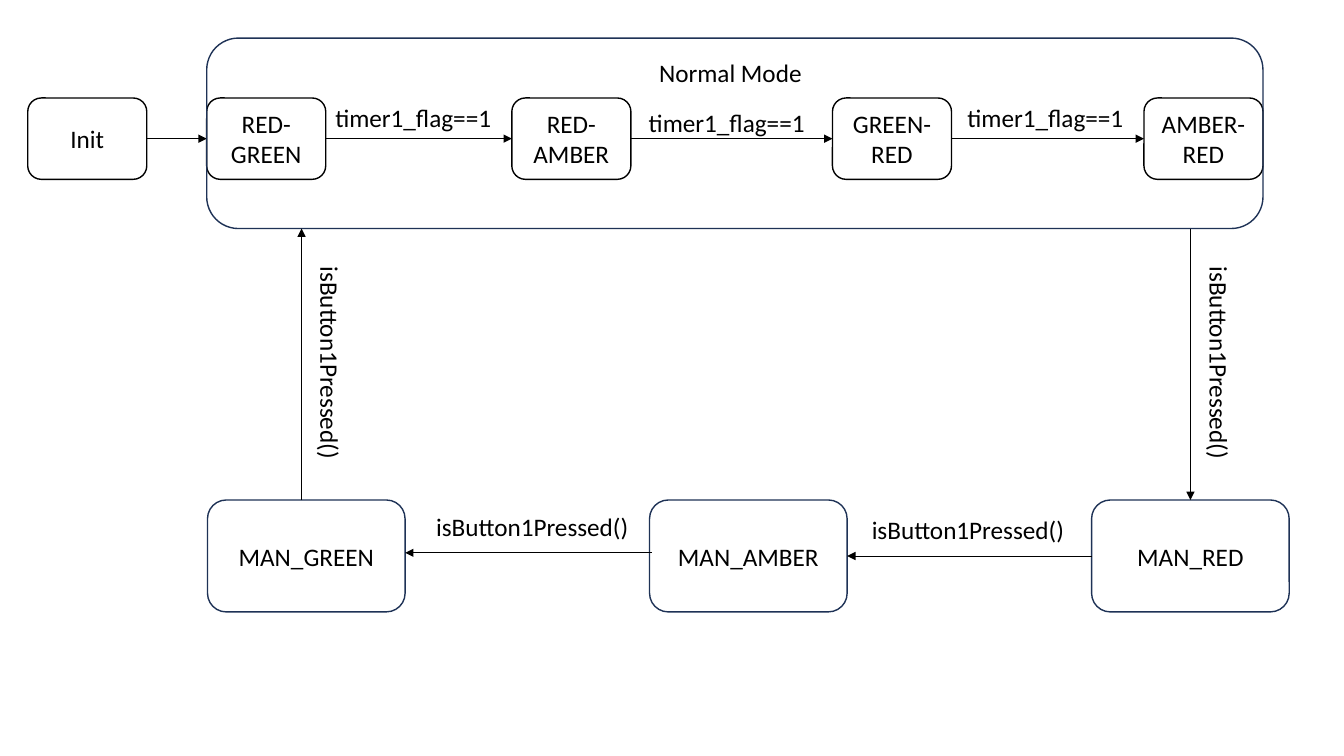
from dataclasses import dataclass

from lxml import etree
from pptx import Presentation
from pptx import util as u
from pptx.dml import color
from pptx.enum import shapes, text
from pptx.oxml import ns


@dataclass(frozen=True)
class Theme:
    font: str = "Calibri"
    text_size: float = 18
    box_line: float = 1
    arrow_line: float = 0.5
    ink: str = "000000"
    paper: str = "FFFFFF"
    navy: str = "1E3256"


TOP, LEFT, BOTTOM, RIGHT = range(4)  # connection sites of a box


class Diagram:
    """Holds the theme and the current slide."""

    def __init__(self, slide, theme):
        self.slide = slide
        self.theme = theme

    def set_text(self, shape, wording, alignment, anchor):
        frame = shape.text_frame
        for name, value in {"word_wrap": True, "vertical_anchor": anchor}.items():
            setattr(frame, name, value)
        paragraph = frame.paragraphs[0]
        paragraph.alignment = alignment
        run = paragraph.add_run()
        run.text = wording
        font_format = {"name": self.theme.font, "size": u.Pt(self.theme.text_size)}
        for name, value in font_format.items():
            setattr(run.font, name, value)
        run.font.color.rgb = color.RGBColor.from_string(self.theme.ink)

    def box(self, left, top, width, height, line, wording="", fill=None):
        shape = self.slide.shapes.add_shape(
            shapes.MSO_SHAPE.ROUNDED_RECTANGLE,
            u.Cm(left), u.Cm(top), u.Cm(width), u.Cm(height))
        shape.shadow.inherit = False
        if fill:
            shape.fill.solid()
            shape.fill.fore_color.rgb = color.RGBColor.from_string(fill)
        else:
            shape.fill.background()
        shape.line.color.rgb = color.RGBColor.from_string(line)
        shape.line.width = u.Pt(self.theme.box_line)
        if wording:
            self.set_text(shape, wording, text.PP_ALIGN.CENTER, text.MSO_ANCHOR.MIDDLE)
        return shape

    def label(self, left, top, width, wording, rotation=0):
        shape = self.slide.shapes.add_textbox(
            u.Cm(left), u.Cm(top), u.Cm(width), u.Cm(1.03))
        shape.rotation = rotation
        self.set_text(shape, wording, text.PP_ALIGN.LEFT, text.MSO_ANCHOR.TOP)
        shape.text_frame.auto_size = text.MSO_AUTO_SIZE.SHAPE_TO_FIT_TEXT

    def arrow(self, start_x=0, start_y=0, end_x=0, end_y=0):
        connector = self.slide.shapes.add_connector(
            shapes.MSO_CONNECTOR.STRAIGHT,
            u.Cm(start_x), u.Cm(start_y), u.Cm(end_x), u.Cm(end_y))
        connector.line.color.rgb = color.RGBColor.from_string(self.theme.ink)
        connector.line.width = u.Pt(self.theme.arrow_line)
        properties = connector.element.spPr
        line = properties.find(ns.qn("a:ln"))
        etree.SubElement(line, ns.qn("a:tailEnd"), type="triangle")
        etree.SubElement(properties, ns.qn("a:effectLst"))
        return connector

    def link(self, source, source_site, target, target_site):
        connector = self.arrow()
        connector.begin_connect(source, source_site)
        connector.end_connect(target, target_site)


presentation = Presentation()
presentation.slide_width = u.Cm(33.87)
presentation.slide_height = u.Cm(19.05)
theme = Theme()
diagram = Diagram(presentation.slides.add_slide(presentation.slide_layouts[6]), theme)

# Automatic states, linked from left to right
automatic = [
    diagram.box(left, 2.47, 3, 2.05, theme.ink, wording, theme.paper)
    for left, wording in [(0.7, "Init"), (5.21, "RED-GREEN"), (12.9, "RED-AMBER"),
                          (20.98, "GREEN-RED"), (28.83, "AMBER-RED")]]
for source, target in zip(automatic, automatic[1:]):
    diagram.link(source, RIGHT, target, LEFT)
for left, top in [(8.2, 2.46), (16.1, 2.58), (24.13, 2.46)]:
    diagram.label(left, top, 4.7, "timer1_flag==1")

# Normal mode frame
frame_top, frame_height = 0.96, 4.8
frame_bottom = frame_top + frame_height
diagram.label(16.36, 1.31, 7.8, "Normal Mode")
diagram.box(5.21, frame_top, 26.62, frame_height, theme.navy)

# Manual states, evenly spaced
manual_left, manual_top, manual_pitch = 5.23, 12.6, 11.14
green, amber, red = [
    diagram.box(manual_left + column * manual_pitch, manual_top, 4.98, 2.82,
                theme.navy, wording)
    for column, wording in enumerate(["MAN_GREEN", "MAN_AMBER", "MAN_RED"])]

# Button transitions
diagram.arrow(30, frame_bottom, 30, manual_top)
diagram.link(red, LEFT, amber, RIGHT)
diagram.arrow(16.42, 13.93, 10.21, 13.93)
diagram.arrow(7.6, manual_top, 7.6, frame_bottom)
for left, top, rotation in [(28.02, 8.66, 90), (21.72, 12.83, 0),
                            (10.74, 12.75, 0), (5.61, 8.66, 90)]:
    diagram.label(left, top, 5.41, "isButton1Pressed()", rotation)

presentation.save("out.pptx")
